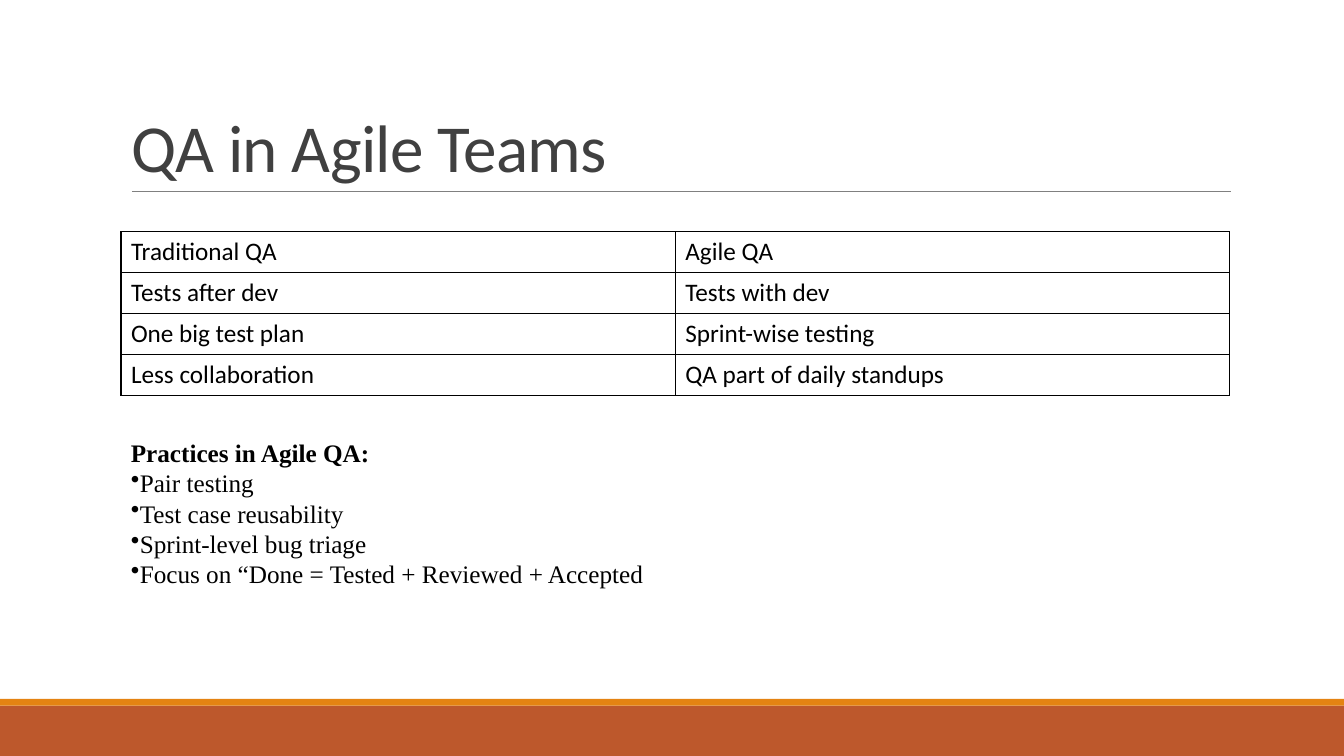
"""Build the slide comparing traditional QA with QA in agile teams."""
from lxml.etree import SubElement
from pptx import Presentation
from pptx.dml.color import RGBColor
from pptx.enum.shapes import MSO_CONNECTOR as Connector, MSO_SHAPE as Shape
from pptx.enum.text import MSO_ANCHOR as Anchor, MSO_AUTO_SIZE as AutoSize, PP_ALIGN as Align
from pptx.oxml.ns import qn
from pptx.util import Pt

TITLE = "QA in Agile Teams"
COMPARISON = [
    ("Traditional QA", "Agile QA"),
    ("Tests after dev", "Tests with dev"),
    ("One big test plan", "Sprint-wise testing"),
    ("Less collaboration", "QA part of daily standups"),
]
PRACTICES_HEADING = "Practices in Agile QA:"
PRACTICES = [
    "Pair testing",
    "Test case reusability",
    "Sprint-level bug triage",
    "Focus on “Done = Tested + Reviewed + Accepted",
]
COLORS = {"footer": "BD582C", "stripe": "E48312", "rule": "808080",
          "title": "404040", "text": "000000"}
WIDTH, HEIGHT = 960, 540
LEFT, CONTENT_WIDTH = 86.4, 792
FOOTER_HEIGHT, STRIPE_HEIGHT = 36, 4.8
ROW_HEIGHT = 28.8


def rgb(name):
    return RGBColor.from_string(COLORS[name])


def style(paragraph, font, size, color, bold=False):
    for run in paragraph.runs:
        run.font.name, run.font.size, run.font.bold = font, Pt(size), bold
        run.font.color.rgb = rgb(color)


def add_band(slide, top, height, color):
    band = slide.shapes.add_shape(Shape.RECTANGLE, 0, Pt(top), Pt(WIDTH), Pt(height))
    band.shadow.inherit = False
    band.fill.solid()
    band.fill.fore_color.rgb = rgb(color)
    band.line.fill.background()


def add_rule(slide):
    rule = slide.shapes.add_connector(Connector.STRAIGHT, Pt(94.3), Pt(136.8), Pt(879), Pt(136.8))
    rule.line.color.rgb = rgb("rule")
    rule.line.width = Pt(0.5)
    SubElement(rule._element.spPr, qn("a:effectLst"))


def add_title(slide):
    title = slide.shapes.title
    title.left, title.top, title.width, title.height = Pt(LEFT), Pt(22.3), Pt(CONTENT_WIDTH), Pt(114.5)
    frame = title.text_frame
    frame.text = TITLE
    frame.auto_size = AutoSize.NONE
    frame.vertical_anchor = Anchor.BOTTOM
    heading = frame.paragraphs[0]
    heading.alignment, heading.line_spacing = Align.LEFT, 0.85
    style(heading, "Calibri", 48, "title")
    heading.runs[0].font._element.set("spc", "-50")


def add_borders(cell):
    properties = cell._tc.get_or_add_tcPr()
    for side in ("lnL", "lnR", "lnT", "lnB"):
        border = SubElement(properties, qn(f"a:{side}"), w=str(Pt(1)))
        fill = SubElement(border, qn("a:solidFill"))
        SubElement(fill, qn("a:srgbClr"), val=COLORS["text"])


def add_comparison(slide):
    rows, columns = len(COMPARISON), len(COMPARISON[0])
    table = slide.shapes.add_table(rows, columns, Pt(LEFT), Pt(165.6),
                                   Pt(CONTENT_WIDTH), Pt(rows * ROW_HEIGHT)).table
    table.first_row = table.horz_banding = False
    for r, entries in enumerate(COMPARISON):
        for c, entry in enumerate(entries):
            cell = table.cell(r, c)
            cell.text = entry
            cell.vertical_anchor = Anchor.MIDDLE
            style(cell.text_frame.paragraphs[0], "Calibri", 18, "text")
            add_borders(cell)
            cell.fill.background()


def add_practices(slide):
    frame = slide.shapes.add_textbox(Pt(LEFT), Pt(308.9), Pt(480), Pt(116.6)).text_frame
    frame.word_wrap = True
    frame.auto_size = AutoSize.SHAPE_TO_FIT_TEXT
    frame.text = "\n".join([PRACTICES_HEADING, *PRACTICES])
    heading, *practices = frame.paragraphs
    style(heading, "Times New Roman", 18, "text", bold=True)
    for practice in practices:
        style(practice, "Times New Roman", 18, "text")
        SubElement(practice._p.get_or_add_pPr(), qn("a:buChar"), char="•")


def main():
    deck = Presentation()
    deck.slide_width, deck.slide_height = Pt(WIDTH), Pt(HEIGHT)
    slide = deck.slides.add_slide(deck.slide_layouts[5])
    footer_top = HEIGHT - FOOTER_HEIGHT
    add_band(slide, footer_top, FOOTER_HEIGHT, "footer")
    add_band(slide, footer_top - STRIPE_HEIGHT, STRIPE_HEIGHT, "stripe")
    add_rule(slide)
    add_title(slide)
    add_comparison(slide)
    add_practices(slide)
    deck.save("out.pptx")


if __name__ == "__main__":
    main()
